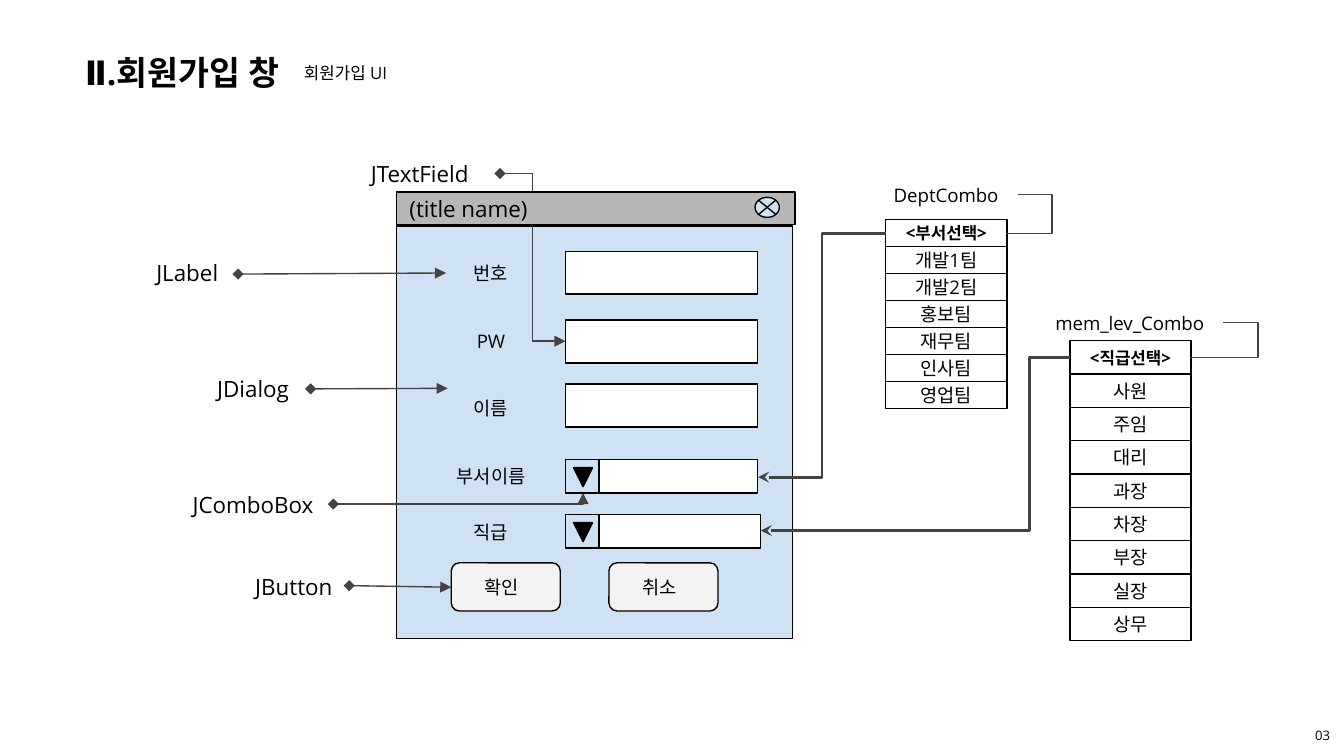
from lxml.etree import SubElement
from pptx import Presentation
from pptx.dml.color import RGBColor
from pptx.enum.shapes import MSO_CONNECTOR, MSO_SHAPE
from pptx.enum.text import MSO_ANCHOR, MSO_AUTO_SIZE, PP_ALIGN
from pptx.oxml.ns import qn
from pptx.util import Cm, Pt

BLACK = RGBColor(0x00, 0x00, 0x00)
WHITE = RGBColor(0xFF, 0xFF, 0xFF)
PALE_BLUE = RGBColor(0xCF, 0xE2, 0xF3)
PALE_GRAY = RGBColor(0xF3, 0xF3, 0xF3)
BAR_GRAY = RGBColor(0xB7, 0xB7, 0xB7)
ARROW_GRAY = RGBColor(0x43, 0x43, 0x43)
FONT = "Open Sans"

# Shared measures of the form, in cm
FIELD_LEFT, FIELD_WIDTH, FIELD_HEIGHT = 10.69, 3.63, 0.81
COMBO_SIZE = 0.63
LABEL_LEFT, LABEL_WIDTH, LABEL_HEIGHT = 8.25, 2.06, 0.94


def write(shape, text, size, bold=False, align=PP_ALIGN.CENTER):
    frame = shape.text_frame
    frame.word_wrap = True
    frame.auto_size = MSO_AUTO_SIZE.NONE
    frame.vertical_anchor = MSO_ANCHOR.MIDDLE
    frame.margin_left = frame.margin_right = Cm(0.25)
    frame.margin_top = frame.margin_bottom = Cm(0.25)
    paragraph = frame.paragraphs[0]
    paragraph.alignment = align
    run = paragraph.add_run()
    run.text = text
    run.font.name = FONT
    run.font.size = Pt(size)
    run.font.bold = bold
    run.font.color.rgb = BLACK
    SubElement(run.font._element, qn("a:ea"), typeface=FONT)


def add_label(slide, text, left, top, width, height, size=10, align=PP_ALIGN.CENTER):
    label = slide.shapes.add_textbox(Cm(left), Cm(top), Cm(width), Cm(height))
    write(label, text, size, align=align)


def add_box(slide, left, top, width, height, fill=WHITE, kind=MSO_SHAPE.RECTANGLE):
    box = slide.shapes.add_shape(kind, Cm(left), Cm(top), Cm(width), Cm(height))
    box.shadow.inherit = False
    box.fill.solid()
    box.fill.fore_color.rgb = fill
    box.line.color.rgb = BLACK
    box.line.width = Pt(0.75)
    return box


def add_option_list(slide, left, top, row_height, heading, options):
    for row, option in enumerate([heading, *options]):
        cell = add_box(slide, left, top + row * row_height, 2.29, row_height)
        is_heading = row == 0
        write(cell, option, 9 if is_heading else 10, bold=is_heading)


def add_combo(slide, left, top):
    add_box(slide, left, top, FIELD_WIDTH, COMBO_SIZE)
    add_box(slide, FIELD_LEFT, top, COMBO_SIZE, COMBO_SIZE, PALE_BLUE)
    add_box(slide, FIELD_LEFT + 0.15, top + 0.15, 0.36, 0.36, BLACK,
            MSO_SHAPE.FLOWCHART_MERGE)


def add_button(slide, text, left):
    add_box(slide, left, 10.64, 2.06, 0.91, PALE_GRAY, MSO_SHAPE.ROUNDED_RECTANGLE)
    add_label(slide, text, left + 0.38, 10.62, 1.47, LABEL_HEIGHT, align=PP_ALIGN.LEFT)


def add_line(slide, start, end, head=None, tail=None, width=0.75, bend=None, corner=False):
    """Bend is the turning point as a share of the width; corner turns once."""
    elbow = corner or bend is not None
    kind = MSO_CONNECTOR.ELBOW if elbow else MSO_CONNECTOR.STRAIGHT
    line = slide.shapes.add_connector(kind, *map(Cm, start), *map(Cm, end))
    line.line.color.rgb = ARROW_GRAY
    line.line.width = Pt(width)
    properties = line._element.spPr
    geometry = properties.find(qn("a:prstGeom"))
    if corner:
        geometry.set("prst", "bentConnector2")
    elif elbow:
        SubElement(geometry.find(qn("a:avLst")), qn("a:gd"), name="adj1",
                   fmla=f"val {round(bend * 100000)}")
    outline = properties.find(qn("a:ln"))
    for tag, end_type in (("a:headEnd", head), ("a:tailEnd", tail)):
        if end_type:
            SubElement(outline, qn(tag), type=end_type)
    SubElement(properties, qn("a:effectLst"))


def add_heading(slide):
    title = slide.shapes.title
    title.left, title.top, title.width, title.height = map(Cm, (1.02, 0.84, 4.85, 1.04))
    write(title, "Ⅱ.회원가입 창", 18, bold=True)
    add_label(slide, "회원가입 UI", 5.16, 0.94, 2.74, 0.89, size=9)
    add_label(slide, "03", 24.59, 13.49, 0.81, 0.81, size=7)


def add_form(slide):
    add_box(slide, 7.49, 4.27, 7.49, 7.8, PALE_BLUE)
    for text, top in (("번호", 4.7), ("PW", 5.97), ("이름", 7.24),
                      ("부서이름", 8.53), ("직급", 9.58)):
        add_label(slide, text, LABEL_LEFT, top, LABEL_WIDTH, LABEL_HEIGHT)
    for top in (4.75, 6.05, 7.26):
        add_box(slide, FIELD_LEFT, top, FIELD_WIDTH, FIELD_HEIGHT)
    add_combo(slide, FIELD_LEFT, 8.69)
    add_combo(slide, FIELD_LEFT + 0.05, 9.73)
    add_button(slide, "확인", 8.53)
    add_button(slide, "취소", 11.51)


def add_title_bar(slide):
    bar = add_box(slide, 7.49, 3.63, 7.54, 0.61, BAR_GRAY)
    write(bar, "(title name)", 12, align=PP_ALIGN.LEFT)
    add_box(slide, 14.27, 3.73, 0.46, 0.38, PALE_BLUE,
            MSO_SHAPE.FLOWCHART_SUMMING_JUNCTION)


def add_component_names(slide):
    for text, left, top, width in (
        ("JLabel", 2.59, 4.65, 1.9),
        ("JButton", 4.5, 10.57, 2.11),
        ("JTextField", 6.45, 2.77, 2.97),
        ("JComboBox", 3.3, 9.02, 2.97),
        ("JDialog", 3.73, 6.83, 2.11),
    ):
        add_label(slide, text, left, top, width, 1.02, size=12)
    add_label(slide, "DeptCombo", 16.51, 3.28, 2.74, 0.81)
    add_label(slide, "mem_lev_Combo", 19.61, 5.77, 3.48, 0.66)


def add_links(slide):
    # Option lists to their combo boxes
    add_line(slide, (16.74, 4.42), (14.33, 9.02), tail="stealth", width=1.5, bend=0.5)
    add_line(slide, (20.22, 6.76), (14.38, 10.03), tail="stealth", width=1.5, bend=0.13)
    # Component names to the parts of the form
    for start, end, turn in (
        ((4.5, 5.18), (8.43, 5.16), {}),
        ((9.45, 3.28), (10.69, 6.45), {"bend": 0.5}),
        ((5.87, 7.35), (8.46, 7.34), {}),
        ((6.6, 11.07), (8.53, 11.1), {}),
        ((6.3, 9.53), (11.02, 9.32), {"corner": True}),
    ):
        add_line(slide, start, end, "diamond", "triangle", **turn)
    # List names to their lists
    add_line(slide, (19.25, 3.68), (19.02, 4.42), bend=-2.76)
    add_line(slide, (23.11, 6.1), (22.5, 6.76), bend=-1.09)


def main():
    presentation = Presentation()
    presentation.slide_width, presentation.slide_height = Cm(25.4), Cm(14.29)
    slide = presentation.slides.add_slide(presentation.slide_layouts[5])
    add_heading(slide)
    add_option_list(slide, 16.74, 4.15, 0.51, "<부서선택>",
                    ["개발1팀", "개발2팀", "홍보팀", "재무팀", "인사팀", "영업팀"])
    add_option_list(slide, 20.22, 6.44, 0.63, "<직급선택>",
                    ["사원", "주임", "대리", "과장", "차장", "부장", "실장", "상무"])
    add_component_names(slide)
    add_form(slide)
    add_links(slide)
    add_title_bar(slide)  # covers the JTextField line
    presentation.save("out.pptx")


if __name__ == "__main__":
    main()
